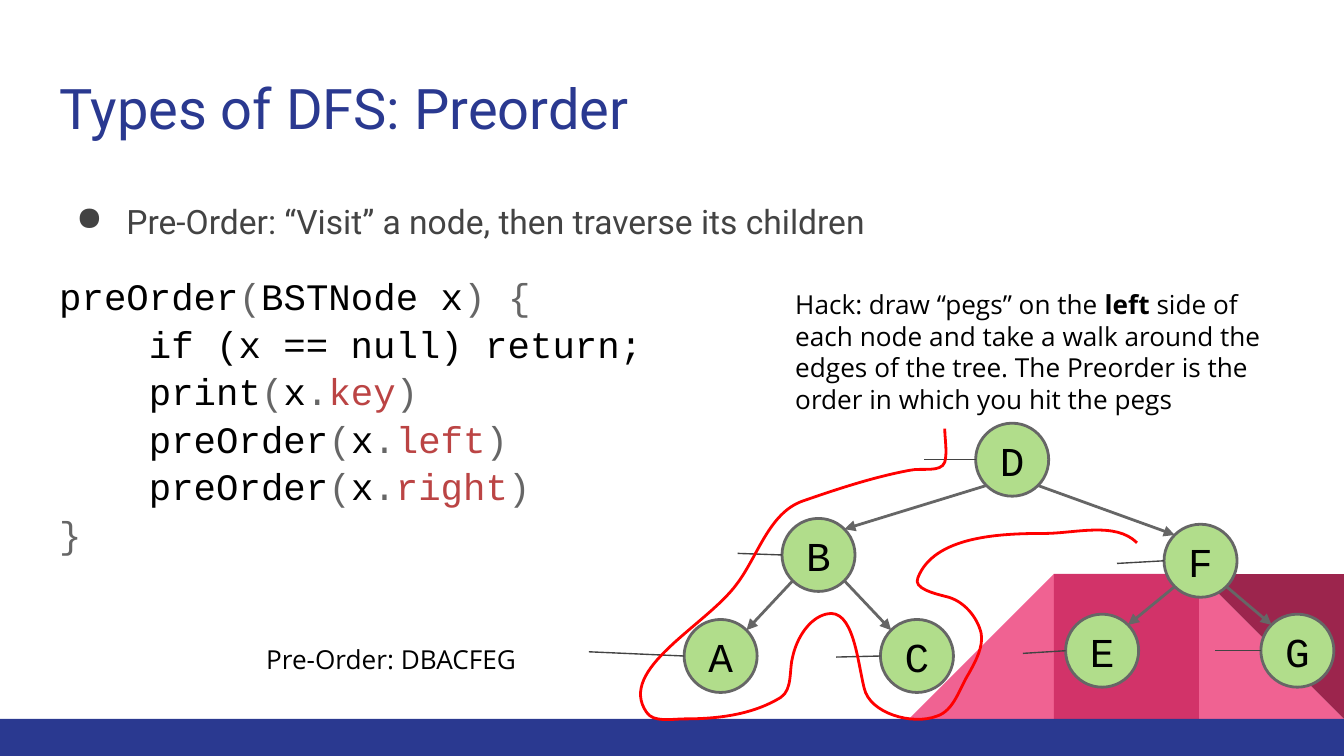
"""Build a slide on preorder depth-first search with code and a walked tree."""
from lxml import etree
from math import sqrt
from pptx import Presentation
from pptx.dml.color import RGBColor
from pptx.enum.shapes import MSO_CONNECTOR, MSO_SHAPE
from pptx.enum.text import MSO_ANCHOR, PP_ALIGN
from pptx.oxml.ns import qn
from pptx.util import Cm, Pt

STRAIGHT = MSO_CONNECTOR.STRAIGHT
OVAL, RECTANGLE, TRIANGLE = MSO_SHAPE.OVAL, MSO_SHAPE.RECTANGLE, MSO_SHAPE.RIGHT_TRIANGLE
MIDDLE, CENTER = MSO_ANCHOR.MIDDLE, PP_ALIGN.CENTER

BLUE = RGBColor(0x2A, 0x39, 0x90)
PINK = RGBColor(0xF0, 0x62, 0x92)
ROSE = RGBColor(0xD2, 0x33, 0x69)
WINE = RGBColor(0x9C, 0x25, 0x4D)
GREEN = RGBColor(0xB1, 0xDD, 0x8B)
RED = RGBColor(0xFF, 0x00, 0x00)
BRICK = RGBColor(0xBB, 0x44, 0x44)
GRAY = RGBColor(0x66, 0x66, 0x66)
DARK = RGBColor(0x43, 0x43, 0x43)
BLACK = RGBColor(0x00, 0x00, 0x00)

TITLE = "Types of DFS: Preorder"
DEFINITION = "Pre-Order: “Visit” a node, then traverse its children"
CODE = [
    [("preOrder", BLACK), ("(", GRAY), ("BSTNode x", BLACK), (") {", GRAY)],
    [("    if (x == null) return;", BLACK)],
    [("    print", BLACK), ("(", GRAY), ("x", BLACK), (".", GRAY), ("key", BRICK), (")", GRAY)],
    [("    preOrder", BLACK), ("(", GRAY), ("x", BLACK), (".", GRAY), ("left", BRICK), (")", GRAY)],
    [("    preOrder", BLACK), ("(", GRAY), ("x", BLACK), (".", GRAY), ("right", BRICK), (")", GRAY)],
    [("}", GRAY)],
]
HACK = [
    ("Hack: draw “pegs” on the ", False),
    ("left ", True),
    ("side of each node and take a walk around the edges of the tree. "
     "The Preorder is the order in which you hit the pegs", False),
]
ANSWER = "Pre-Order: DBACFEG"

NODES = {
    "A": (12.93, 11.71), "C": (16.64, 11.71), "B": (14.78, 9.8), "D": (18.44, 8),
    "E": (20.14, 11.61), "F": (22, 9.91), "G": (23.83, 11.61),
}
EDGES = ["BA", "BC", "FE", "FG", "DB", "DF"]
PEGS = {
    "D": (-0.97, 0), "B": (-0.84, -0.03), "A": (-1.8, -0.08), "C": (-0.84, 0.02),
    "E": (-0.81, 0.05), "F": (-0.89, 0.05), "G": (-0.86, 0),
}
RADIUS = 0.69

WALK_UNIT = Cm(2.54) / 100
WALK_START = (703, 319)
WALK_CURVES = [
    [(703, 327), (705, 336), (703, 344)],
    [(700, 352), (686, 348), (677, 350)],
    [(650, 355), (623, 364), (597, 373)],
    [(572, 382), (564, 414), (548, 435)],
    [(525, 466), (459, 498), (481, 530)],
    [(486, 538), (500, 535), (510, 535)],
    [(534, 535), (560, 532), (581, 519)],
    [(590, 513), (587, 498), (590, 488)],
    [(593, 475), (602, 460), (615, 457)],
    [(635, 452), (638, 492), (643, 512)],
    [(647, 531), (679, 540), (697, 533)],
    [(710, 529), (714, 512), (721, 501)],
    [(726, 492), (732, 481), (730, 471)],
    [(727, 459), (717, 447), (704, 444)],
    [(696, 442), (679, 438), (683, 430)],
    [(695, 399), (744, 397), (777, 397)],
    [(800, 397), (830, 388), (846, 404)],
]

BLOCK = 2.74
BLOCK_TOP = 10.85
BLOCK_RIGHT = 25.4 - BLOCK
DECOR = [
    (TRIANGLE, BLOCK_RIGHT, PINK, 0, False),
    (TRIANGLE, BLOCK_RIGHT - 2 * BLOCK, PINK, 0, True),
    (RECTANGLE, BLOCK_RIGHT - BLOCK, ROSE, 0, False),
    (TRIANGLE, BLOCK_RIGHT, WINE, 180, False),
]


def add_filled(slide, kind, left, top, width, height, color):
    shape = slide.shapes.add_shape(kind, Cm(left), Cm(top), Cm(width), Cm(height))
    shape.shadow.inherit = False
    shape.fill.solid()
    shape.fill.fore_color.rgb = color
    shape.line.fill.background()
    return shape


def set_font(paragraph, name, size, color=None):
    paragraph.font.name = name
    paragraph.font.size = Pt(size)
    if color is not None:
        paragraph.font.color.rgb = color


def set_insets(frame):
    frame.margin_left = frame.margin_right = Cm(0.25)
    frame.margin_top = frame.margin_bottom = Cm(0.25)
    frame.word_wrap = True


def add_text(slide, left, top, width, height):
    frame = slide.shapes.add_textbox(Cm(left), Cm(top), Cm(width), Cm(height)).text_frame
    set_insets(frame)
    return frame


def add_line(slide, start, end, color, weight, arrow=False):
    line = slide.shapes.add_connector(STRAIGHT, *(Cm(value) for value in (*start, *end)))
    line.line.color.rgb = color
    line.line.width = Pt(weight)
    if arrow:
        etree.SubElement(line.line._get_or_add_ln(), qn("a:tailEnd"), type="triangle")
    etree.SubElement(line._element.spPr, qn("a:effectLst"))


def add_decor(slide):
    for kind, left, color, rotation, flipped in DECOR:
        block = add_filled(slide, kind, left, BLOCK_TOP, BLOCK, BLOCK, color)
        block.rotation = rotation
        if flipped:
            block._element.spPr.find(qn("a:xfrm")).set("flipH", "1")
    add_filled(slide, RECTANGLE, 0, BLOCK_TOP + BLOCK, 25.4, 0.7, BLUE)


def add_explanation(slide):
    title = add_text(slide, 0.87, 1.14, 23.66, 1.68).paragraphs[0]
    title.text = TITLE
    set_font(title, "Roboto", 30, BLUE)

    body = add_text(slide, 0.87, 3.43, 23.66, 9.27)
    definition = body.paragraphs[0]
    definition.text = DEFINITION
    definition.line_spacing = 1.15
    properties = definition._p.get_or_add_pPr()
    properties.set("marL", str(Cm(1.27)))
    properties.set("indent", str(-Cm(0.95)))
    etree.SubElement(properties, qn("a:buChar"), char="●")
    set_font(definition, "Roboto", 18, DARK)
    for number, tokens in enumerate(CODE):
        line = body.add_paragraph()
        line.line_spacing = 1.06
        line.space_before = Pt(0 if number else 16)
        set_font(line, "Courier New", 20)
        for token, color in tokens:
            run = line.add_run()
            run.text = token
            run.font.color.rgb = color


def add_tree(slide):
    for letter, (left, top) in NODES.items():
        node = add_filled(slide, OVAL, left, top, 2 * RADIUS, 2 * RADIUS, GREEN)
        node.line.color.rgb = GRAY
        node.line.width = Pt(1.5)
        set_insets(node.text_frame)
        node.text_frame.vertical_anchor = MIDDLE
        label = node.text_frame.paragraphs[0]
        label.text = letter
        label.alignment = CENTER
        set_font(label, "Courier New", 22, BLACK)

    centers = {letter: (left + RADIUS, top + RADIUS) for letter, (left, top) in NODES.items()}
    reach = RADIUS / sqrt(2)
    for parent, child in EDGES:
        (px, py), (cx, cy) = centers[parent], centers[child]
        side = reach if cx > px else -reach
        add_line(slide, (px + side, py + reach), (cx - side, cy - reach), GRAY, 1.5, arrow=True)
    for letter, (dx, dy) in PEGS.items():
        x, y = centers[letter]
        add_line(slide, (x - RADIUS, y), (x - RADIUS + dx, y + dy), DARK, 0.75)


def add_walk(slide):
    anchors = [curve[-1] for curve in WALK_CURVES]
    builder = slide.shapes.build_freeform(*WALK_START, scale=WALK_UNIT)
    builder.add_line_segments(anchors, close=False)
    walk = builder.convert_to_shape()
    walk.shadow.inherit = False
    walk.fill.background()
    walk.line.color.rgb = RED
    walk.line.width = Pt(1.5)
    left, top = (min(values) for values in zip(WALK_START, *anchors))
    segments = list(walk._element.iter(qn("a:lnTo")))
    for segment, curve in zip(segments, WALK_CURVES):
        bezier = etree.Element(qn("a:cubicBezTo"))
        for x, y in curve:
            etree.SubElement(bezier, qn("a:pt"), x=str(x - left), y=str(y - top))
        segment.getparent().replace(segment, bezier)


def add_notes_on_walk(slide):
    hack = add_text(slide, 14.78, 5.21, 9.73, 1.96).paragraphs[0]
    set_font(hack, "Open Sans", 14, BLACK)
    for words, bold in HACK:
        run = hack.add_run()
        run.text = words
        run.font.bold = bold
    answer = add_text(slide, 4.78, 11.91, 7.52, 1.37).paragraphs[0]
    answer.text = ANSWER
    set_font(answer, "Open Sans", 14, BLACK)


def main():
    deck = Presentation()
    deck.slide_width, deck.slide_height = Cm(25.4), Cm(14.29)
    slide = deck.slides.add_slide(deck.slide_layouts[6])
    add_decor(slide)
    add_explanation(slide)
    add_tree(slide)
    add_walk(slide)
    add_notes_on_walk(slide)
    deck.save("out.pptx")


if __name__ == "__main__":
    main()
